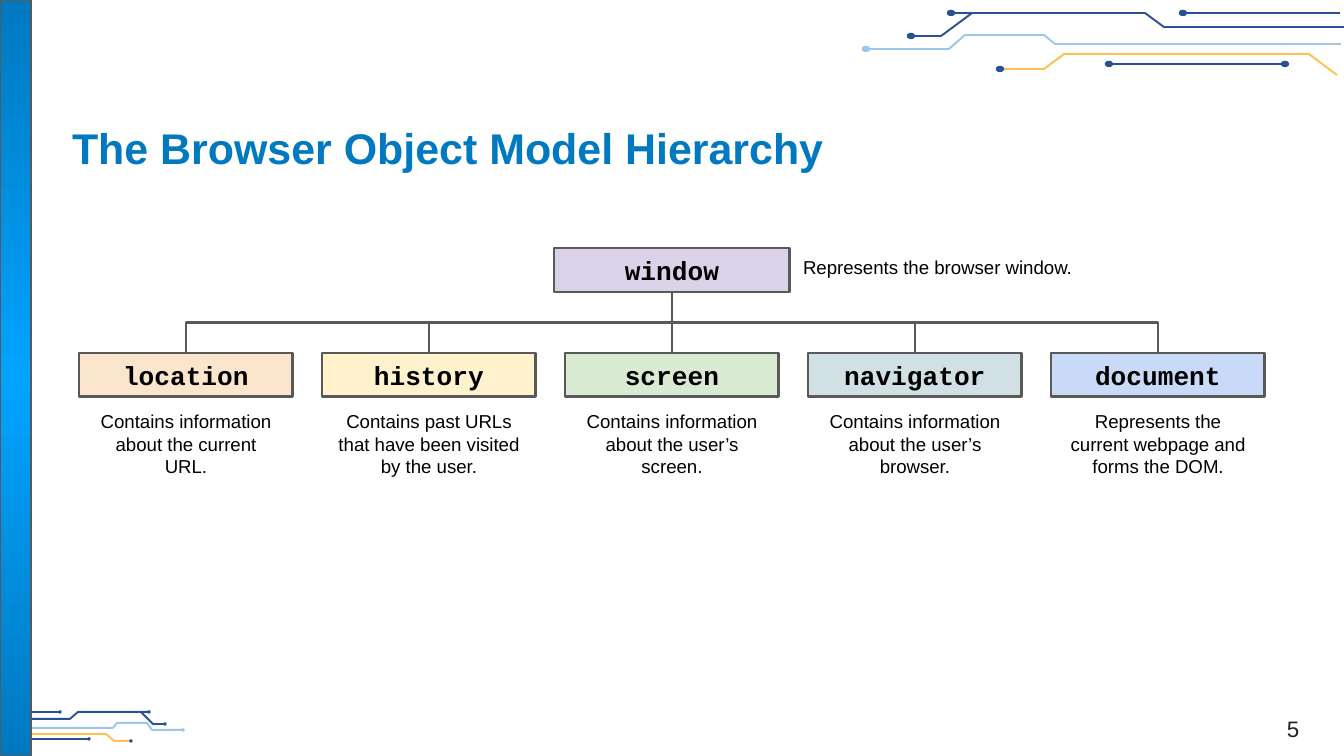
from lxml.etree import SubElement
from pptx import Presentation
from pptx.dml.color import RGBColor
from pptx.enum.shapes import MSO_CONNECTOR, MSO_SHAPE
from pptx.enum.text import MSO_ANCHOR, MSO_AUTO_SIZE, PP_ALIGN
from pptx.oxml import parse_xml
from pptx.oxml.ns import nsdecls, qn
from pptx.util import Pt

SCALE = 9144000 / 1344  # EMU per px
NAVY, SKY, GOLD = "285293", "9FC5E8", "FEC14F"
BLUE, BRIGHT_BLUE = "0079C0", "03A3FF"
GREY, BLACK, NUMBER_GREY = "595959", "000000", "222222"

# Each trace: colour, points, dots as (colour, centre).
TOP_TRACES = [
    (NAVY, [(1344, 27), (1164, 27), (1145, 13), (951, 13)], [(NAVY, (951, 13))]),
    (NAVY, [(972, 13), (941, 36), (911, 36)], [(NAVY, (911, 36))]),
    (NAVY, [(1340, 13), (1183, 13)], [(NAVY, (1183, 13))]),
    (GOLD, [(1337, 75), (1309, 54), (1064, 54), (1044, 69), (1000, 69)],
     [(NAVY, (1000, 69))]),
    (NAVY, [(1285, 64), (1109, 64)], [(NAVY, (1285, 64)), (NAVY, (1109, 64))]),
    (SKY, [(1341, 44), (1055, 44), (1044, 35), (965, 35), (949, 49), (866, 49)],
     [(SKY, (866, 49))]),
]
BOTTOM_TRACES = [
    (NAVY, [(4, 719), (70, 719), (78, 712), (149, 712)], [(NAVY, (149, 712))]),
    (NAVY, [(141, 712), (153, 724), (165, 724)], [(NAVY, (165, 724))]),
    (NAVY, [(0, 712), (60, 712)], [(NAVY, (60, 712))]),
    (GOLD, [(1, 745), (12, 734), (106, 734), (114, 741), (131, 741)],
     [(NAVY, (131, 741))]),
    (NAVY, [(22, 739), (89, 739)], [(NAVY, (22, 739)), (NAVY, (89, 739))]),
    (SKY, [(8, 728), (113, 728), (117, 723), (147, 723), (152, 730), (183, 730)],
     [(SKY, (183, 730))]),
]
CHILD_OBJECTS = [
    ("location", "FCE5CD", "Contains information about the current URL."),
    ("history", "FFF2CC", "Contains past URLs that have been visited by the user."),
    ("screen", "D9EAD3", "Contains information about the user’s screen."),
    ("navigator", "D0E0E3", "Contains information about the user’s browser."),
    ("document", "C9DAF8", "Represents the current webpage and forms the DOM."),
]


def px(length):
    return round(length * SCALE)


def color(hex_string):
    return RGBColor.from_string(hex_string)


class SlideBuilder:
    def __init__(self, slide):
        self.slide = slide
        self.shapes = slide.shapes

    def fill_text(self, shape, text, size, hex_color, font="Arial", bold=False,
                  align=PP_ALIGN.LEFT, anchor=MSO_ANCHOR.TOP, inset=(13, 13)):
        frame = shape.text_frame
        frame.word_wrap = True
        frame.vertical_anchor = anchor
        frame.margin_left = frame.margin_right = px(inset[0])
        frame.margin_top = frame.margin_bottom = px(inset[1])
        paragraph = frame.paragraphs[0]
        paragraph.alignment = align
        run = paragraph.add_run()
        run.text = text
        run.font.name = font
        run.font.size = Pt(size)
        run.font.bold = bold
        run.font.color.rgb = color(hex_color)

    def title(self, text, left, top, width, height):
        shape = self.shapes.title
        shape.left, shape.top = px(left), px(top)
        shape.width, shape.height = px(width), px(height)
        shape.text_frame.auto_size = MSO_AUTO_SIZE.NONE
        self.fill_text(shape, text, 23, BLUE, bold=True,
                       anchor=MSO_ANCHOR.MIDDLE, inset=(9, 9))

    def text(self, text, left, top, width, height, size=10, hex_color=BLACK,
             grow=True, **style):
        box = self.shapes.add_textbox(px(left), px(top), px(width), px(height))
        self.fill_text(box, text, size, hex_color, **style)
        if grow:
            box.text_frame.auto_size = MSO_AUTO_SIZE.SHAPE_TO_FIT_TEXT

    def shape(self, kind, left, top, width, height, fill, line, weight=0.75):
        shape = self.shapes.add_shape(kind, px(left), px(top), px(width), px(height))
        shape.shadow.inherit = False
        shape.fill.solid()
        shape.fill.fore_color.rgb = color(fill)
        shape.line.color.rgb = color(line)
        shape.line.width = Pt(weight)
        return shape

    def object_box(self, name, left, top, width, height, fill):
        box = self.shape(MSO_SHAPE.RECTANGLE, left, top, width, height, fill, GREY, 1.5)
        self.fill_text(box, name, 14, BLACK, font="Courier New", bold=True,
                       align=PP_ALIGN.CENTER, anchor=MSO_ANCHOR.MIDDLE)

    def side_bar(self, width, height):
        """Bar with a gradient that spreads from its centre."""
        bar = self.shape(MSO_SHAPE.RECTANGLE, 0, 0, width, height, BLUE, GREY)
        bar.fill.gradient()
        for stop, hex_color in zip(bar.fill.gradient_stops, (BRIGHT_BLUE, BLUE)):
            stop.color.rgb = color(hex_color)
        gradient = bar.element.spPr.find(qn("a:gradFill"))
        gradient.replace(gradient.find(qn("a:lin")), parse_xml(
            f'<a:path {nsdecls("a")} path="circle">'
            '<a:fillToRect l="50000" t="50000" r="50000" b="50000"/></a:path>'))

    def connector(self, kind, start, end, hex_color, weight):
        line = self.shapes.add_connector(kind, *map(px, (*start, *end)))
        line.line.color.rgb = color(hex_color)
        line.line.width = Pt(weight)
        SubElement(line.element.spPr, qn("a:effectLst"))
        return line

    def branch(self, start, end):
        """Line that leaves start downwards, bends half way and drops to end."""
        (x1, y1), (x2, y2) = start, end
        if x1 == x2:
            self.connector(MSO_CONNECTOR.STRAIGHT, start, end, GREY, 1.5)
            return
        middle_x, middle_y = (x1 + x2) / 2, (y1 + y2) / 2
        half_drop, half_span = (y2 - y1) / 2, abs(x2 - x1) / 2
        line = self.connector(
            MSO_CONNECTOR.ELBOW, (middle_x - half_drop, middle_y - half_span),
            (middle_x + half_drop, middle_y + half_span), GREY, 1.5)
        transform = line.element.spPr.find(qn("a:xfrm"))
        transform.set("rot", str((90 if x2 < x1 else 270) * 60000))
        if x2 > x1:
            transform.set("flipH", "1")

    def trace(self, hex_color, points):
        if len(points) == 2:
            self.connector(MSO_CONNECTOR.STRAIGHT, *points, hex_color, 1.03)
            return
        builder = self.shapes.build_freeform(*points[0], scale=SCALE)
        builder.add_line_segments(points[1:], close=False)
        shape = builder.convert_to_shape()
        shape.shadow.inherit = False
        shape.fill.background()
        shape.line.color.rgb = color(hex_color)
        shape.line.width = Pt(1.03)

    def circuit(self, traces, dot_width, dot_height):
        for hex_color, points, dots in traces:
            self.trace(hex_color, points)
            for dot_color, (x, y) in dots:
                self.shape(MSO_SHAPE.OVAL, x - dot_width / 2, y - dot_height / 2,
                           dot_width, dot_height, dot_color, dot_color)


def main():
    presentation = Presentation()
    presentation.slide_width, presentation.slide_height = px(1344), px(756)
    layout = presentation.slide_layouts[5]
    builder = SlideBuilder(presentation.slides.add_slide(layout))

    builder.circuit(BOTTOM_TRACES, 2, 2)
    builder.circuit(TOP_TRACES, 7, 5)
    builder.side_bar(31, 756)
    builder.title("The Browser Object Model Hierarchy", 63, 108, 1193, 78)
    builder.text("5", 1250, 688, 86, 59, size=12, hex_color=NUMBER_GREY, grow=False,
                 align=PP_ALIGN.CENTER, anchor=MSO_ANCHOR.BOTTOM, inset=(9, 5))

    box_height, child_width, child_top, pitch = 44, 214, 353, 243
    builder.object_box("window", 554, 248, 236, box_height, "D9D2E9")
    builder.text("Represents the browser window.", 790, 245, 422, 50)
    for index, (name, fill, description) in enumerate(CHILD_OBJECTS):
        left = 79 + index * pitch
        builder.object_box(name, left, child_top, child_width, box_height, fill)
        builder.branch((672, 248 + box_height), (left + child_width // 2, child_top))
        builder.text(description, left, child_top + box_height, child_width, 95,
                     align=PP_ALIGN.CENTER)

    presentation.save("out.pptx")


if __name__ == "__main__":
    main()
